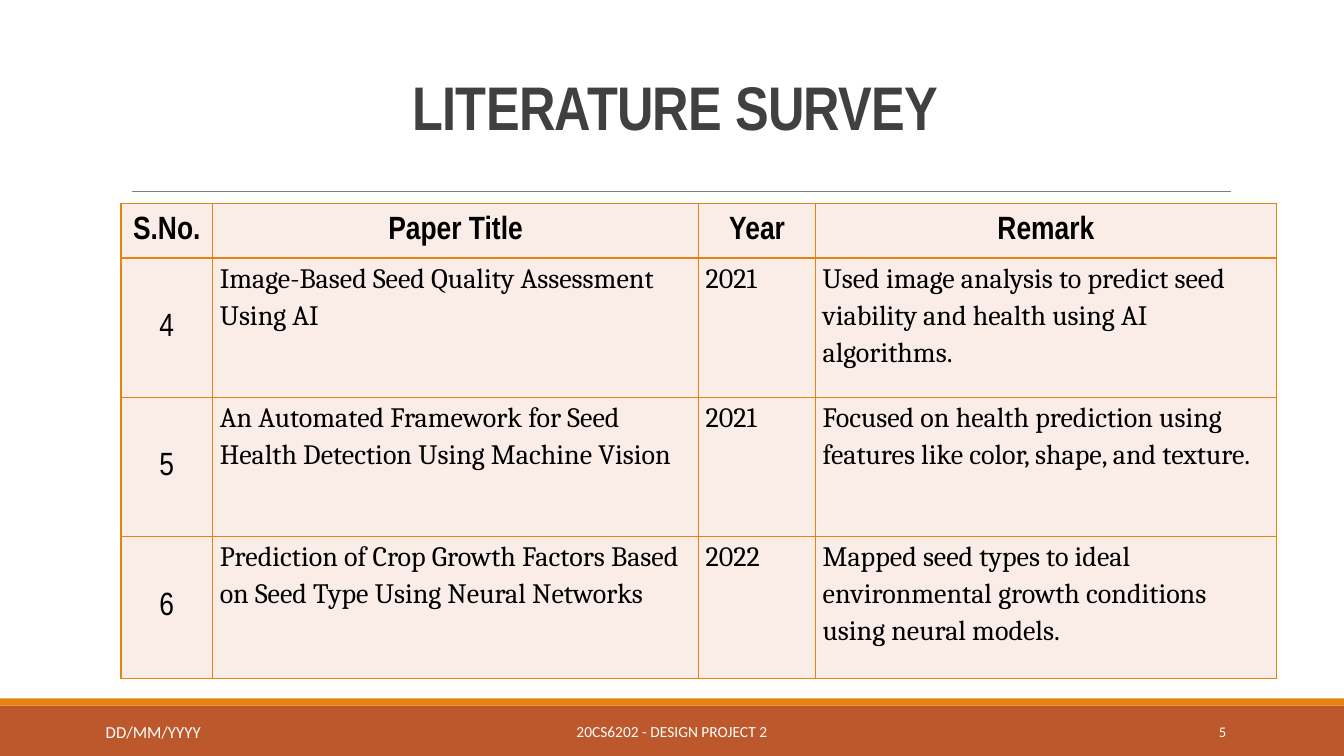
from lxml.etree import SubElement
from pptx import Presentation
from pptx.dml.color import RGBColor
from pptx.enum.shapes import MSO_CONNECTOR, MSO_SHAPE
from pptx.enum.text import MSO_ANCHOR, PP_ALIGN
from pptx.oxml import parse_xml
from pptx.oxml.ns import nsdecls, qn
from pptx.util import Emu, Pt

PX = 9144
COLORS = {
    "band": "BD582C",
    "accent": "E48312",
    "rule": "808080",
    "cell": "FAEDE7",
    "title": "404040",
    "body": "000000",
    "footer": "FFFFFF",
}
COLUMN_WIDTHS = [91, 482, 116, 457]
ROW_HEIGHTS = [54, 138, 138, 141]
SURVEY = [
    ("S.No.", "Paper Title", "Year", "Remark"),
    ("4", "Image-Based Seed Quality Assessment Using AI", "2021",
     "Used image analysis to predict seed viability and health using AI algorithms."),
    ("5", "An Automated Framework for Seed Health Detection Using Machine Vision", "2021",
     "Focused on health prediction using features like color, shape, and texture."),
    ("6", "Prediction of Crop Growth Factors Based on Seed Type Using Neural Networks", "2022",
     "Mapped seed types to ideal environmental growth conditions using neural models."),
]


def px(*lengths):
    """Turn pixel lengths into a list of EMU lengths."""
    return [Emu(length * PX) for length in lengths]


def color(name):
    """Return the named colour."""
    return RGBColor.from_string(COLORS[name])


def write(text_frame, text, size, font_name, color_name, align, bold=False):
    """Fill a text frame with one formatted paragraph and return it."""
    text_frame.text = text
    paragraph = text_frame.paragraphs[0]
    paragraph.alignment = align
    font = paragraph.runs[0].font
    font.size, font.name, font.bold = Pt(size), font_name, bold
    font.color.rgb = color(color_name)
    return paragraph


def add_text(slide, box, text, size, font_name, color_name, align, bold=False):
    """Add a wrapped, vertically centred text box and return its paragraph."""
    text_frame = slide.shapes.add_textbox(*px(*box)).text_frame
    text_frame.word_wrap = True
    text_frame.vertical_anchor = MSO_ANCHOR.MIDDLE
    return write(text_frame, text, size, font_name, color_name, align, bold)


def add_bar(slide, box, color_name):
    """Add a plain filled rectangle."""
    shape = slide.shapes.add_shape(MSO_SHAPE.RECTANGLE, *px(*box))
    shape.shadow.inherit = False
    shape.fill.solid()
    shape.fill.fore_color.rgb = color(color_name)
    shape.line.fill.background()


def add_heading(slide, left, top, width, height):
    """Add the slide title with the thin rule along its lower edge."""
    bottom = top + height
    rule = slide.shapes.add_connector(
        MSO_CONNECTOR.STRAIGHT, *px(left + 11, bottom, left + width + 1, bottom))
    rule.line.color.rgb = color("rule")
    rule.line.width = Pt(0.5)
    SubElement(rule._element.spPr, qn("a:effectLst"))
    paragraph = add_text(slide, (left, top, width, height), "LITERATURE SURVEY", 44,
                         "Arial Narrow", "title", PP_ALIGN.CENTER, True)
    paragraph.line_spacing = 0.85
    paragraph.runs[0].font._element.set("spc", "-50")


def set_borders(cell):
    """Draw an accent line on all four sides of a cell."""
    properties = cell._tc.get_or_add_tcPr()
    for index, side in enumerate(("lnL", "lnR", "lnT", "lnB")):
        properties.insert(index, parse_xml(
            f'<a:{side} {nsdecls("a")} w="{Pt(1)}"><a:solidFill>'
            f'<a:srgbClr val="{COLORS["accent"]}"/></a:solidFill></a:{side}>'))


def fill_cell(cell, text, is_header, is_label):
    """Format one survey cell as a centred label or as body text."""
    cell.fill.solid()
    cell.fill.fore_color.rgb = color("cell")
    set_borders(cell)
    side, edge = (3, 2) if is_label else (7, 0)
    cell.margin_left, cell.margin_right, cell.margin_top, cell.margin_bottom = px(
        side, side, edge, edge)
    if is_label:
        cell.vertical_anchor = MSO_ANCHOR.MIDDLE
        write(cell.text_frame, text, 23, "Arial Narrow", "body", PP_ALIGN.CENTER, is_header)
    else:
        paragraph = write(cell.text_frame, text, 20, "Cambria", "body", PP_ALIGN.LEFT)
        paragraph.line_spacing = 1.15
        paragraph.space_after = Pt(10)


def add_survey_table(slide, left, top):
    """Add the table of surveyed papers."""
    box = px(left, top, sum(COLUMN_WIDTHS), sum(ROW_HEIGHTS))
    table = slide.shapes.add_table(len(SURVEY), len(COLUMN_WIDTHS), *box).table
    table.horz_banding = False
    for column, width in zip(table.columns, px(*COLUMN_WIDTHS)):
        column.width = width
    for row, height in zip(table.rows, px(*ROW_HEIGHTS)):
        row.height = height
    for row_index, texts in enumerate(SURVEY):
        for column_index, text in enumerate(texts):
            is_header = row_index == 0
            fill_cell(table.cell(row_index, column_index), text, is_header,
                      is_header or column_index == 0)


def add_footer(slide, left, top, width, height):
    """Add the two footer bars with date, course and slide number."""
    accent_height = 7
    add_bar(slide, (left, top + accent_height, width, height - accent_height), "band")
    add_bar(slide, (left, top, width, accent_height), "accent")
    entries = [
        (403, 527, "20CS6202 - DESIGN PROJECT 2", 11, PP_ALIGN.CENTER),
        (1083, 143, "5", 10.5, PP_ALIGN.RIGHT),
        (95, 259, "DD/MM/YYYY", 12, PP_ALIGN.LEFT),
    ]
    for offset, entry_width, text, size, align in entries:
        add_text(slide, (left + offset, top + 13, entry_width, 40), text, size,
                 "Calibri", "footer", align)


def main():
    """Build and save the literature survey slide."""
    presentation = Presentation()
    presentation.slide_width, presentation.slide_height = px(1333, 750)
    slide = presentation.slides.add_slide(presentation.slide_layouts[6])
    add_footer(slide, 0, 693, 1333, 57)
    add_heading(slide, 120, 31, 1100, 159)
    add_survey_table(slide, 120, 202)
    presentation.save("out.pptx")


if __name__ == "__main__":
    main()
